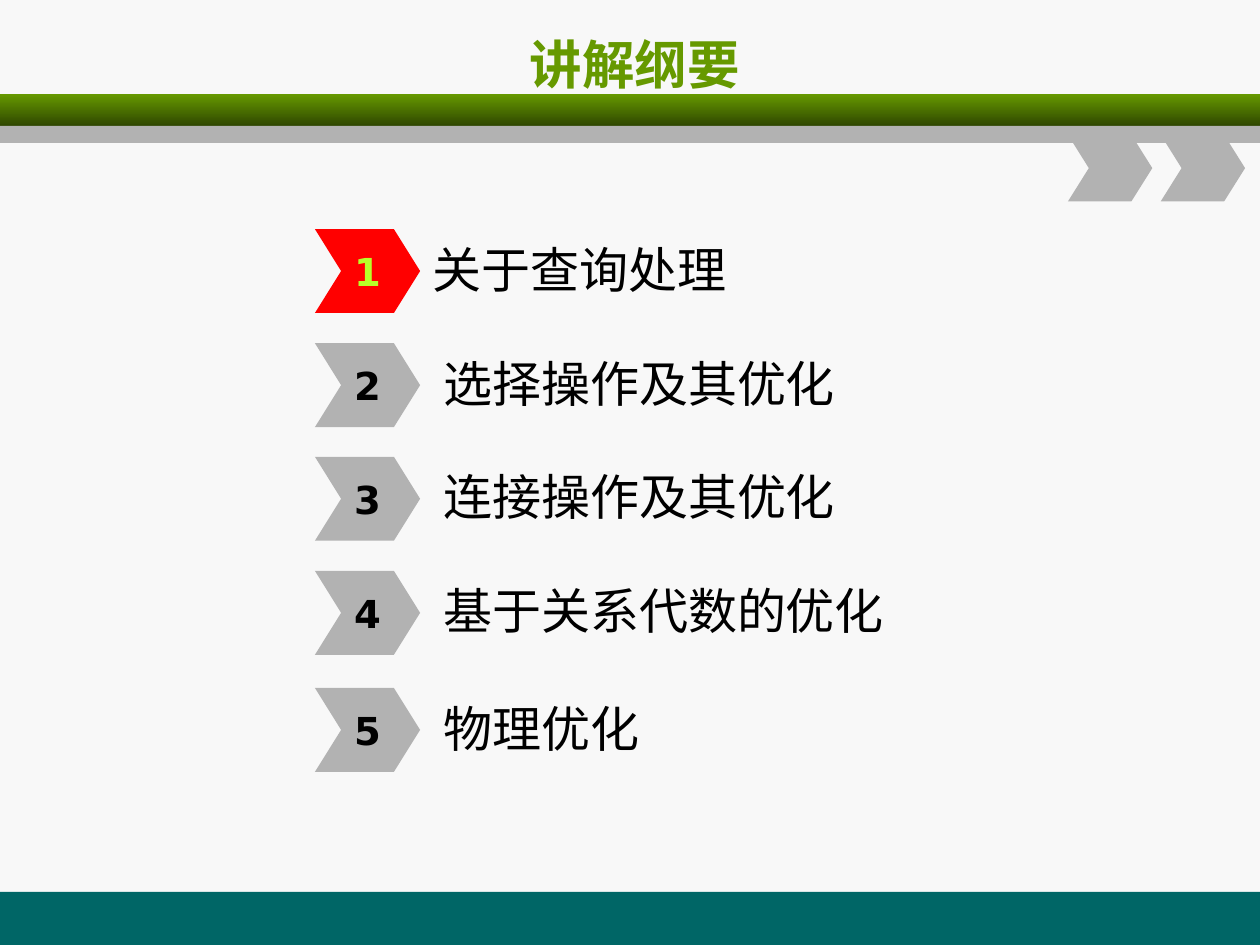
from lxml import etree
from pptx import Presentation
from pptx.dml.color import RGBColor
from pptx.enum.shapes import MSO_SHAPE
from pptx.enum.text import MSO_ANCHOR, PP_ALIGN
from pptx.oxml.ns import qn
from pptx.util import Cm, Pt

RECTANGLE, CHEVRON = MSO_SHAPE.RECTANGLE, MSO_SHAPE.CHEVRON
MIDDLE = MSO_ANCHOR.MIDDLE
LEFT, CENTER = PP_ALIGN.LEFT, PP_ALIGN.CENTER

COLORS = {
    "background": "F8F8F8",
    "footer": "006666",
    "green": "669900",
    "dark_green": "2F4700",
    "gray": "B2B2B2",
    "active": "FF0000",
    "active_number": "B8FF29",
    "text": "000000",
}
LATIN_FONT, CHINESE_FONT = "DejaVu Sans", "Noto Sans CJK SC"
TITLE_FORMAT = {"name": LATIN_FONT, "size": Pt(30), "bold": True}
NUMBER_FORMAT = {"name": LATIN_FONT, "size": Pt(22), "bold": True}
TOPIC_FORMAT = {"name": CHINESE_FONT, "size": Pt(28), "bold": False}

TOPICS = [
    ("关于查询处理", 4.62),
    ("选择操作及其优化", 6.92),
    ("连接操作及其优化", 9.21),
    ("基于关系代数的优化", 11.51),
    ("物理优化", 13.87),
]


def rgb(color):
    return RGBColor.from_string(COLORS[color])


def add_block(slide, preset, box, color, point=None):
    block = slide.shapes.add_shape(preset, *map(Cm, box))
    block.shadow.inherit = False
    block.line.fill.background()
    block.fill.solid()
    block.fill.fore_color.rgb = rgb(color)
    if point is not None:
        block.adjustments[0] = point
    return block


def shade_band(band):
    band.fill.gradient()
    band.fill.gradient_angle = 270
    for stop, color in zip(band.fill.gradient_stops, ("green", "dark_green")):
        stop.color.rgb = rgb(color)


def write(holder, text, color, text_format, align, wrap=True):
    frame = holder.text_frame
    frame.word_wrap = wrap
    frame.vertical_anchor = MIDDLE
    paragraph = frame.paragraphs[0]
    paragraph.alignment = align
    run = paragraph.add_run()
    run.text = text
    for attribute, value in text_format.items():
        setattr(run.font, attribute, value)
    run.font.color.rgb = rgb(color)
    east_asian = etree.SubElement(run.font._element, qn("a:ea"))
    east_asian.set("typeface", CHINESE_FONT)


def add_label(slide, box, text, color, text_format, align):
    label = slide.shapes.add_textbox(*map(Cm, box))
    write(label, text, color, text_format, align)
    return label


def add_decoration(slide):
    add_block(slide, RECTANGLE, (0, 17.98, 25.4, 1.07), "footer")
    shade_band(add_block(slide, RECTANGLE, (0, 1.9, 25.4, 0.64), "green"))
    add_block(slide, RECTANGLE, (0, 2.54, 25.4, 0.34), "gray")
    for left in (21.53, 23.4):
        add_block(slide, CHEVRON, (left, 2.72, 1.7, 1.34), "gray", 0.314)


def add_topic(slide, number, topic, top, active):
    label = add_label(slide, (8.47, top + 0.06, 15.04, 1.47), topic,
                      "text", TOPIC_FORMAT, LEFT)
    label.text_frame.margin_left = Cm(0.25 if active else 0.47)
    marker = add_block(slide, CHEVRON, (6.35, top, 2.12, 1.69),
                       "active" if active else "gray", 0.312)
    write(marker, str(number), "active_number" if active else "text",
          NUMBER_FORMAT, CENTER, wrap=False)


def main():
    deck = Presentation()
    deck.slide_width, deck.slide_height = Cm(25.4), Cm(19.05)
    slide = deck.slides.add_slide(deck.slide_layouts[6])
    slide.background.fill.solid()
    slide.background.fill.fore_color.rgb = rgb("background")
    add_decoration(slide)
    add_label(slide, (1.37, 0.43, 22.86, 1.7), "讲解纲要",
              "green", TITLE_FORMAT, CENTER)
    for number, (topic, top) in enumerate(TOPICS, start=1):
        add_topic(slide, number, topic, top, active=number == 1)
    deck.save("out.pptx")


if __name__ == "__main__":
    main()
